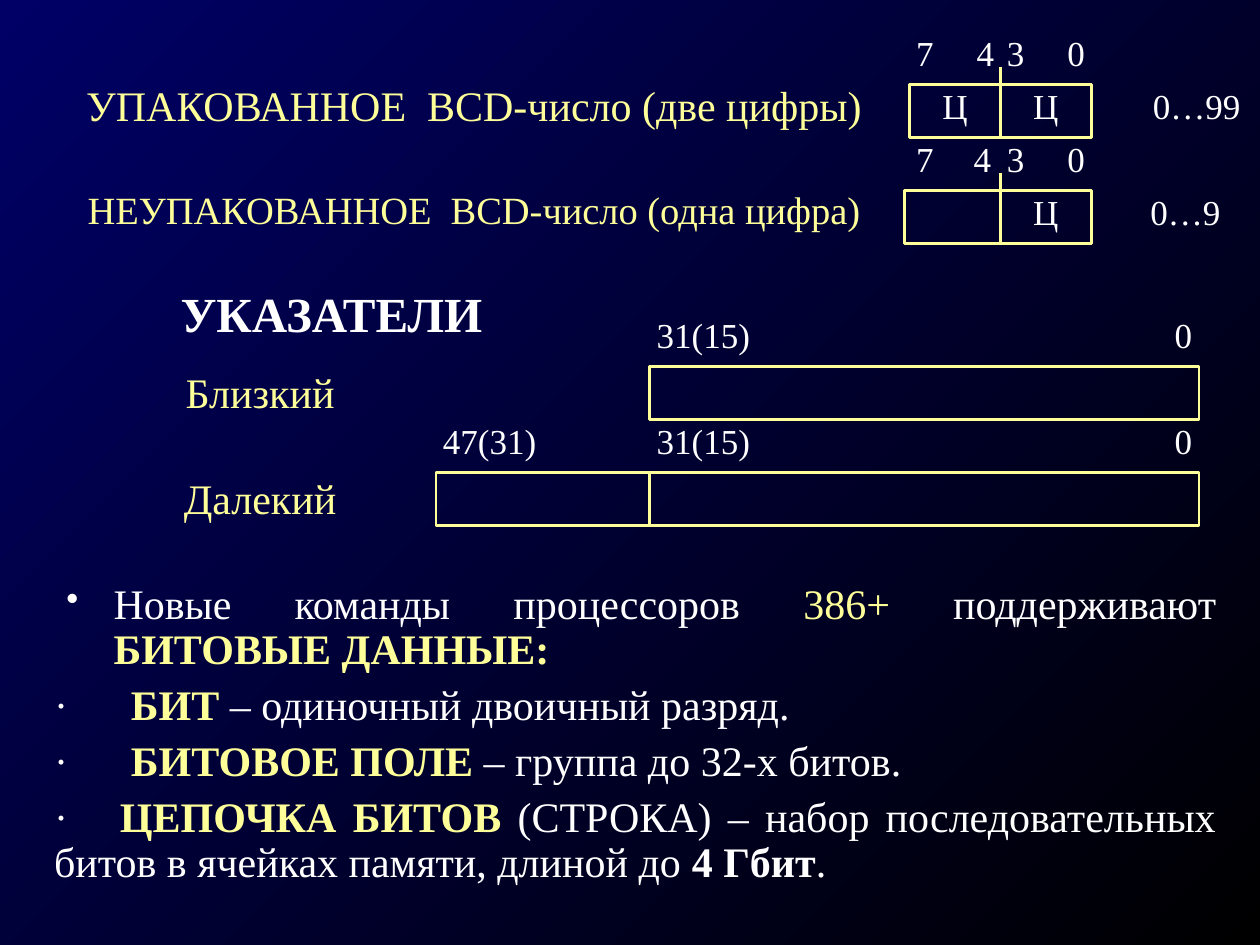
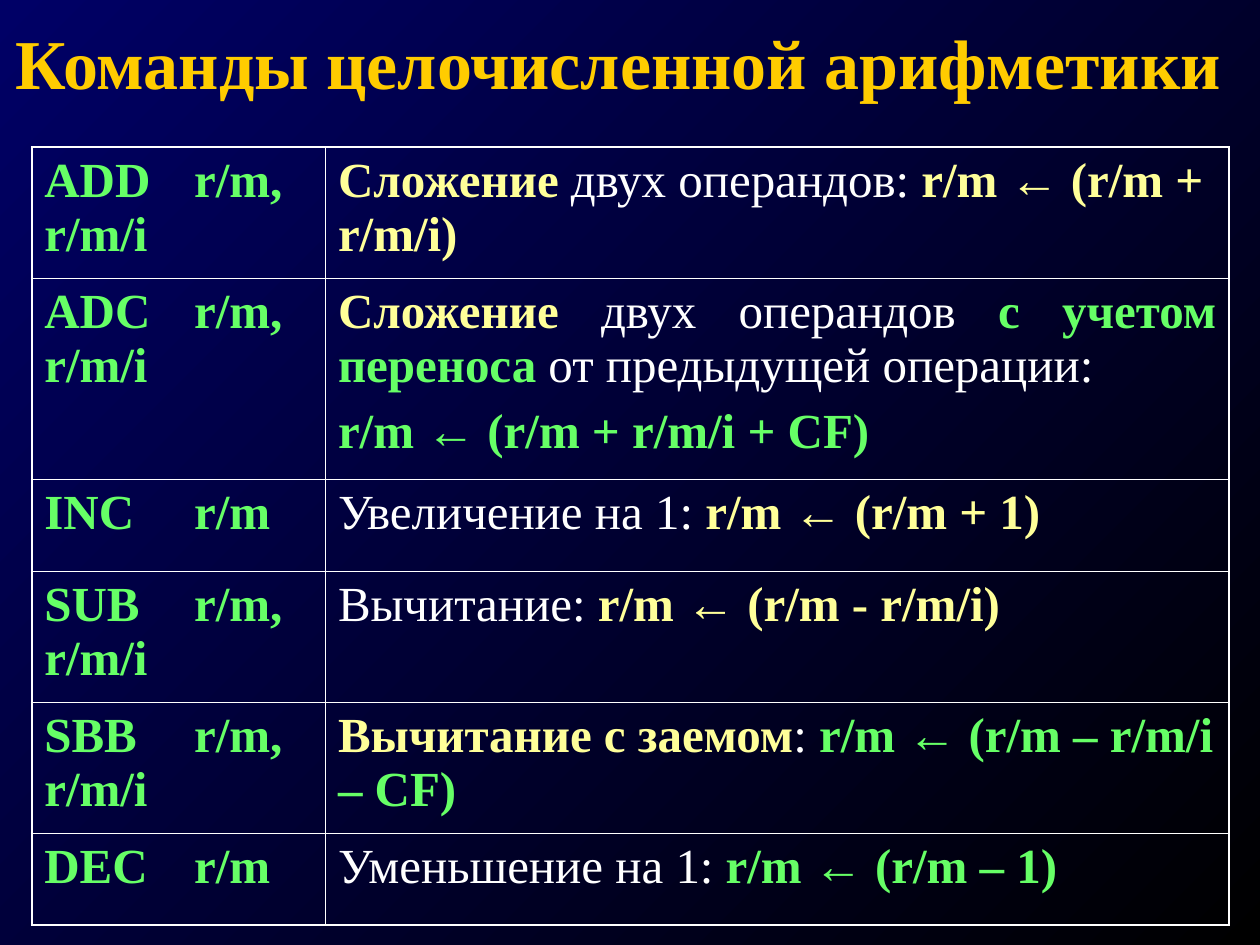
from dataclasses import dataclass
from typing import Any, NamedTuple

from lxml import etree
from pptx import Presentation
from pptx import util as u
from pptx.dml.color import RGBColor
from pptx.enum import shapes, text
from pptx.oxml import ns

NAVY = RGBColor(0x00, 0x00, 0x66)
BLACK = RGBColor(0x00, 0x00, 0x00)
WHITE = RGBColor(0xFF, 0xFF, 0xFF)
CREAM = RGBColor(0xFF, 0xFF, 0x99)
GREEN = RGBColor(0x66, 0xFF, 0x66)
GOLD = RGBColor(0xFF, 0xCC, 0x00)
FONT = "Times New Roman"

LEFT, CENTER, JUSTIFY = (text.PP_ALIGN.LEFT, text.PP_ALIGN.CENTER,
                         text.PP_ALIGN.JUSTIFY)
ROW = 1.07         # height of a register and of the bit numbers above it
BIT = 0.61         # width of one bit number
BYTE_LEFT = 18.34  # left side of the packed byte
POINTER_LEFT, POINTER_WIDTH = 13.1, 11.07


class Run(NamedTuple):
    words: str
    color: RGBColor = WHITE
    bold: bool = False


@dataclass
class Label:
    words: str
    left: float
    top: float
    width: float
    height: float = ROW
    size: int = 20
    color: RGBColor = WHITE
    bold: bool = False
    align: Any = CENTER


@dataclass
class Register:
    left: float
    top: float
    width: float


# ---- shared helpers ----
def assign(target: Any, values: dict[str, Any]) -> None:
    for key, value in values.items():
        setattr(target, key, value)


def add_xml(parent: Any, tag: str, **attributes: str) -> Any:
    return etree.SubElement(parent, ns.qn(tag), attributes)


def add_tab(paragraph: Any, position: float) -> None:
    stops = add_xml(paragraph._p.get_or_add_pPr(), "a:tabLst")
    add_xml(stops, "a:tab", pos=str(u.Cm(position)), algn="l")


def write_runs(paragraph: Any, runs: list[Run], size: int,
               layout: dict[str, Any]) -> None:
    assign(paragraph, layout)
    for words, color, bold in runs:
        piece = paragraph.add_run()
        piece.text = words
        assign(piece.font, {"name": FONT, "size": u.Pt(size), "bold": bold})
        piece.font.color.rgb = color


def add_frame(slide: Any, left: float, top: float, width: float, height: float,
              inset_x: float = 0, inset_y: float = 0) -> Any:
    box = slide.shapes.add_textbox(*map(u.Cm, (left, top, width, height)))
    assign(box.text_frame, {
        "word_wrap": True,
        "margin_left": u.Cm(inset_x), "margin_right": u.Cm(inset_x),
        "margin_top": u.Cm(inset_y), "margin_bottom": u.Cm(inset_y)})
    return box.text_frame


def add_label(slide: Any, label: Label) -> None:
    frame = add_frame(slide, label.left, label.top, label.width, label.height)
    write_runs(frame.paragraphs[0], [Run(label.words, label.color, label.bold)],
               label.size, {"alignment": label.align})


def add_register(slide: Any, register: Register) -> Any:
    outline = slide.shapes.add_shape(
        shapes.MSO_SHAPE.RECTANGLE,
        *map(u.Cm, (register.left, register.top, register.width, ROW)))
    outline.shadow.inherit = False
    outline.fill.background()
    outline.line.color.rgb = CREAM
    outline.line.width = u.Pt(1.5)
    return outline


def add_divider(slide: Any, x: float, top: float, bottom: float) -> Any:
    divider = slide.shapes.add_connector(
        shapes.MSO_CONNECTOR.STRAIGHT, *map(u.Cm, (x, top, x, bottom)))
    divider.line.color.rgb = CREAM
    divider.line.width = u.Pt(1.5)
    add_xml(divider._element.spPr, "a:effectLst")
    return divider


def new_slide(deck: Any) -> Any:
    slide = deck.slides.add_slide(deck.slide_layouts[6])
    fill = slide.background.fill
    fill.gradient()
    fill.gradient_angle = 315
    for stop, color, position in zip(fill.gradient_stops, (NAVY, BLACK), (0, 1)):
        stop.color.rgb = color
        stop.position = position
    return slide


# ---- slide 1: BCD numbers, pointers, bit data ----
def bit_labels(top: float, bits: dict[float, str]) -> list[Label]:
    return [Label(words, BYTE_LEFT + column * BIT, top, BIT)
            for column, words in bits.items()]


def draw_bcd(slide: Any) -> None:
    packed, unpacked = 1.7, 3.84
    labels = [
        *bit_labels(packed - ROW, {0: "7", 2: "4", 3: "3", 5: "0"}),
        *bit_labels(packed, {1: "Ц", 4: "Ц"}),
        *bit_labels(unpacked - ROW, {0: "7", 1.9: "4", 3: "3", 5: "0"}),
        *bit_labels(unpacked, {4: "Ц"}),
        Label("0…99", 23.24, packed, 2.16, align=LEFT),
        Label("0…9", 23.19, unpacked, 2.21, align=LEFT),
        Label("УПАКОВАННОЕ  BCD-число (две цифры)", 1.07, 1.6, 16.97,
              size=24, color=CREAM),
        Label("НЕУПАКОВАННОЕ  BCD-число (одна цифра)", 1.07, 3.76, 16.97,
              size=22, color=CREAM),
    ]
    for label in labels:
        add_label(slide, label)
    middle = BYTE_LEFT + 3 * BIT
    packed_byte = add_register(slide, Register(BYTE_LEFT, packed, 6 * BIT))
    add_register(slide, Register(18.24, unpacked, 3.76))
    nibbles = add_divider(slide, middle, packed - 0.35, packed + ROW)
    nibbles.end_connect(packed_byte, 2)
    add_divider(slide, middle, unpacked - 0.35, unpacked + ROW)


def draw_pointers(slide: Any) -> None:
    add_label(slide, Label("УКАЗАТЕЛИ", 2.11, 5.72, 9.14, 0.97, 28, bold=True))
    for name, top in (("Близкий", 7.39), ("Далекий", 9.53)):
        add_label(slide, Label(name, 3.25, top, 3.99, size=24, color=CREAM))
        add_label(slide, Label("31(15)", POINTER_LEFT, top - ROW, 2.16))
        add_label(slide, Label("0", 23.55, top - ROW, BIT))
        add_register(slide, Register(POINTER_LEFT, top, POINTER_WIDTH))
    # segment part of the far pointer
    add_label(slide, Label("47(31)", 8.79, 9.53 - ROW, 2.16))
    add_register(slide, Register(8.79, 9.53, POINTER_LEFT - 8.79))


def draw_bit_data(slide: Any) -> None:
    layout = {"alignment": JUSTIFY, "line_spacing": 0.9, "space_before": u.Pt(6)}
    frame = add_frame(slide, 0.84, 11.63, 23.93, 6.78, 0.25, 0.13)
    intro = frame.paragraphs[0]
    write_runs(intro, [Run("Новые команды процессоров "), Run("386+", CREAM),
                       Run(" поддерживают "),
                       Run("БИТОВЫЕ ДАННЫЕ:", CREAM, True)], 24, layout)
    margins = intro._p.get_or_add_pPr()
    margins.set("marL", str(u.Cm(1.2)))
    margins.set("indent", str(u.Cm(-0.95)))
    bullet_color = add_xml(margins, "a:buClr")
    add_xml(bullet_color, "a:srgbClr", val=str(WHITE))
    add_xml(margins, "a:buSzPct", val="85000")
    add_xml(margins, "a:buChar", char="•")

    definitions = [
        (1.55, [Run("БИТ ", CREAM, True), Run("– одиночный двоичный разряд.")]),
        (1.55, [Run("БИТОВОЕ ПОЛЕ", CREAM, True),
                Run(" – группа до 32-х битов.")]),
        (1.33, [Run("ЦЕПОЧКА БИТОВ", CREAM, True),
                Run(" (СТРОКА) – набор последовательных битов в ячейках "
                    "памяти, длиной до "),
                Run("4 Гбит", bold=True), Run(".")]),
    ]
    for term_left, runs in definitions:
        paragraph = frame.add_paragraph()
        write_runs(paragraph, [Run("·\t"), *runs], 24, layout)
        add_tab(paragraph, term_left)


# ---- slide 2: integer arithmetic commands ----
class Command(NamedTuple):
    mnemonic: str
    operands: str
    height: float
    meaning: list[list[Run]]
    align: Any = LEFT


COMMANDS = [
    Command("ADD", "r/m, r/m/i", 2.64, [[
        Run("Сложение", CREAM, True), Run(" двух операндов: "),
        Run("r/m ← (r/m + r/m/i)", CREAM, True)]]),
    Command("ADC", "r/m, r/m/i", 4.06, [
        [Run("Сложение", CREAM, True), Run(" двух операндов "),
         Run("с учетом переноса", GREEN, True),
         Run(" от предыдущей операции:")],
        [Run("r/m ← (r/m + r/m/i + CF)", GREEN, True)]], JUSTIFY),
    Command("INC", "r/m", 1.85, [[
        Run("Увеличение на 1: "), Run("r/m ← (r/m + 1)", CREAM, True)]]),
    Command("SUB", "r/m, r/m/i", 2.64, [[
        Run("Вычитание: "), Run("r/m ← (r/m - r/m/i)", CREAM, True)]]),
    Command("SBB", "r/m, r/m/i", 2.64, [[
        Run("Вычитание с заемом", CREAM, True), Run(": "),
        Run("r/m ← (r/m – r/m/i – CF)", GREEN, True)]]),
    Command("DEC", "r/m", 1.85, [[
        Run("Уменьшение на 1: "), Run("r/m ← (r/m – 1)", GREEN, True)]]),
]


def set_borders(cell: Any, outer_sides: dict[str, bool]) -> None:
    properties = cell._tc.get_or_add_tcPr()
    for side, outer in outer_sides.items():
        edge = add_xml(properties, f"a:ln{side}",
                       w=str(u.Pt(1.08 if outer else 0.45)))
        add_xml(add_xml(edge, "a:solidFill"), "a:srgbClr", val=str(WHITE))


def draw_title(slide: Any) -> None:
    frame = add_frame(slide, 0, 0.18, 24.94, 2.11, 0.13, 0.13)
    frame.vertical_anchor = text.MSO_ANCHOR.MIDDLE
    write_runs(frame.paragraphs[0],
               [Run("Команды целочисленной арифметики", GOLD, True)], 40,
               {"alignment": CENTER})


def draw_commands(slide: Any) -> None:
    widths = (5.92, 18.21)
    total = sum(command.height for command in COMMANDS)
    table = slide.shapes.add_table(
        len(COMMANDS), len(widths),
        *map(u.Cm, (0.64, 2.97, sum(widths), total))).table
    assign(table, {"first_row": False, "horz_banding": False})
    for column, width in zip(table.columns, widths):
        column.width = u.Cm(width)

    last = len(COMMANDS) - 1
    for index, command in enumerate(COMMANDS):
        table.rows[index].height = u.Cm(command.height)
        name = [[Run(f"{command.mnemonic}\t{command.operands}", GREEN, True)]]
        contents = ((name, LEFT), (command.meaning, command.align))
        for side, (paragraphs, align) in enumerate(contents):
            cell = table.cell(index, side)
            set_borders(cell, {"L": side == 0, "R": side == 1,
                               "T": index == 0, "B": index == last})
            cell.fill.background()
            for number, runs in enumerate(paragraphs):
                frame = cell.text_frame
                paragraph = frame.add_paragraph() if number else frame.paragraphs[0]
                write_runs(paragraph, runs, 28,
                           {"alignment": align, "space_before": u.Pt(7)})
        add_tab(table.cell(index, 0).text_frame.paragraphs[0], 3.02)


def main() -> None:
    deck = Presentation()
    assign(deck, {"slide_width": u.Cm(25.4), "slide_height": u.Cm(19.05)})
    data_types = new_slide(deck)
    for draw in (draw_bit_data, draw_bcd, draw_pointers):
        draw(data_types)
    arithmetic = new_slide(deck)
    draw_title(arithmetic)
    draw_commands(arithmetic)
    deck.save("out.pptx")


if __name__ == "__main__":
    main()
